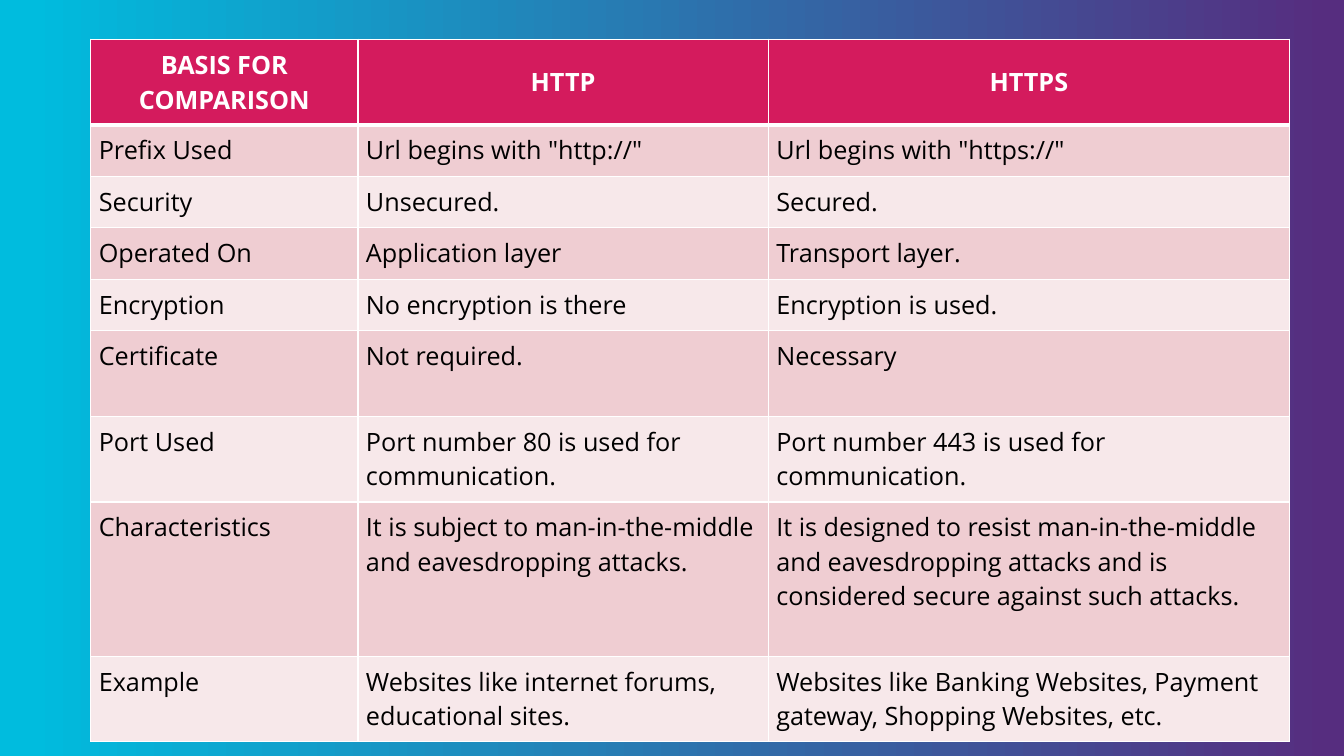
import pptx
import pptx.util
import pptx.dml.color
import pptx.enum.text
import pptx.oxml
import pptx.oxml.ns

Inches = pptx.util.Inches

COLORS = {
    "purple": "562D7F",
    "cyan": "00BCDE",
    "head": "D41B5D",
    "dark": "EFCDD2",
    "light": "F7E8EA",
    "white": "FFFFFF",
    "black": "000000",
}

HEAD = ("BASIS FOR COMPARISON", "HTTP", "HTTPS")
ROWS = [
    ("Prefix Used", 'Url begins with "http://"', 'Url begins with "https://"'),
    ("Security", "Unsecured.", "Secured."),
    ("Operated On", "Application layer", "Transport layer."),
    ("Encryption", "No encryption is there", "Encryption is used."),
    ("Certificate", "Not required.", "Necessary"),
    ("Port Used", "Port number 80 is used for communication.",
     "Port number 443 is used for communication."),
    ("Characteristics",
     "It is subject to man-in-the-middle and eavesdropping attacks.",
     "It is designed to resist man-in-the-middle and eavesdropping attacks "
     "and is considered secure against such attacks."),
    ("Example", "Websites like internet forums, educational sites.",
     "Websites like Banking Websites, Payment gateway, Shopping Websites, etc."),
]
WIDTHS = (2.65, 4.07, 5.17)
HEIGHTS = (0.85, 0.51, 0.51, 0.51, 0.51, 0.85, 0.85, 1.53, 0.85)


def color(name):
    return pptx.dml.color.RGBColor.from_string(COLORS[name])


class Deck:
    font = "Open Sans"
    size = pptx.util.Pt(18)
    inset = Inches(0.08)

    def __init__(self, show):
        self.slide = show.slides.add_slide(show.slide_layouts[6])

    def back(self, *stops):
        """Fill the background with a gradient that runs right to left."""
        fill = self.slide.background.fill
        fill.gradient()
        fill.gradient_angle = 180
        for stop, (place, name) in zip(fill.gradient_stops, stops):
            stop.position = place
            stop.color.rgb = color(name)

    def edge(self, cell, base):
        """Draw white cell borders; base is the bottom width in points."""
        props = cell._tc.get_or_add_tcPr()
        sides = {"L": 1, "R": 1, "T": 1, "B": base}
        for spot, (side, width) in enumerate(sides.items()):
            line = pptx.oxml.parse_xml(
                f'<a:ln{side} {pptx.oxml.ns.nsdecls("a")} w="{pptx.util.Pt(width)}">'
                f'<a:solidFill><a:srgbClr val="{COLORS["white"]}"/></a:solidFill>'
                f'</a:ln{side}>')
            props.insert(spot, line)

    def cell(self, cell, text, fill, head):
        cell.text = text
        cell.fill.solid()
        cell.fill.fore_color.rgb = color(fill)
        cell.margin_left = cell.margin_right = self.inset
        cell.margin_top = cell.margin_bottom = self.inset
        para = cell.text_frame.paragraphs[0]
        para.font.name = self.font
        para.font.size = self.size
        para.font.bold = head
        para.font.color.rgb = color("white" if head else "black")
        if head:
            para.alignment = pptx.enum.text.PP_ALIGN.CENTER
            cell.vertical_anchor = pptx.enum.text.MSO_ANCHOR.MIDDLE
        self.edge(cell, 3 if head else 1)

    def table(self, left, top, widths, heights, rows):
        table = self.slide.shapes.add_table(
            len(rows), len(widths), Inches(left), Inches(top),
            Inches(sum(widths)), Inches(sum(heights))).table
        for column, width in zip(table.columns, widths):
            column.width = Inches(width)
        for line, height in zip(table.rows, heights):
            line.height = Inches(height)
        for r, row in enumerate(rows):
            fill = "head" if r == 0 else "dark" if r % 2 else "light"
            for c, text in enumerate(row):
                self.cell(table.cell(r, c), text, fill, r == 0)
        # The thick rule under the header is also the first row's top edge
        for c in range(len(widths)):
            props = table.cell(1, c)._tc.tcPr
            props.find(pptx.oxml.ns.qn("a:lnT")).set("w", str(pptx.util.Pt(3)))


def main():
    show = pptx.Presentation()
    show.slide_width = Inches(13.33)
    show.slide_height = Inches(7.5)
    deck = Deck(show)

    # Background
    deck.back((0.01, "purple"), (0.98, "cyan"))

    # Comparison table
    deck.table(0.9, 0.39, WIDTHS, HEIGHTS, [HEAD, *ROWS])

    show.save("out.pptx")


if __name__ == "__main__":
    main()
